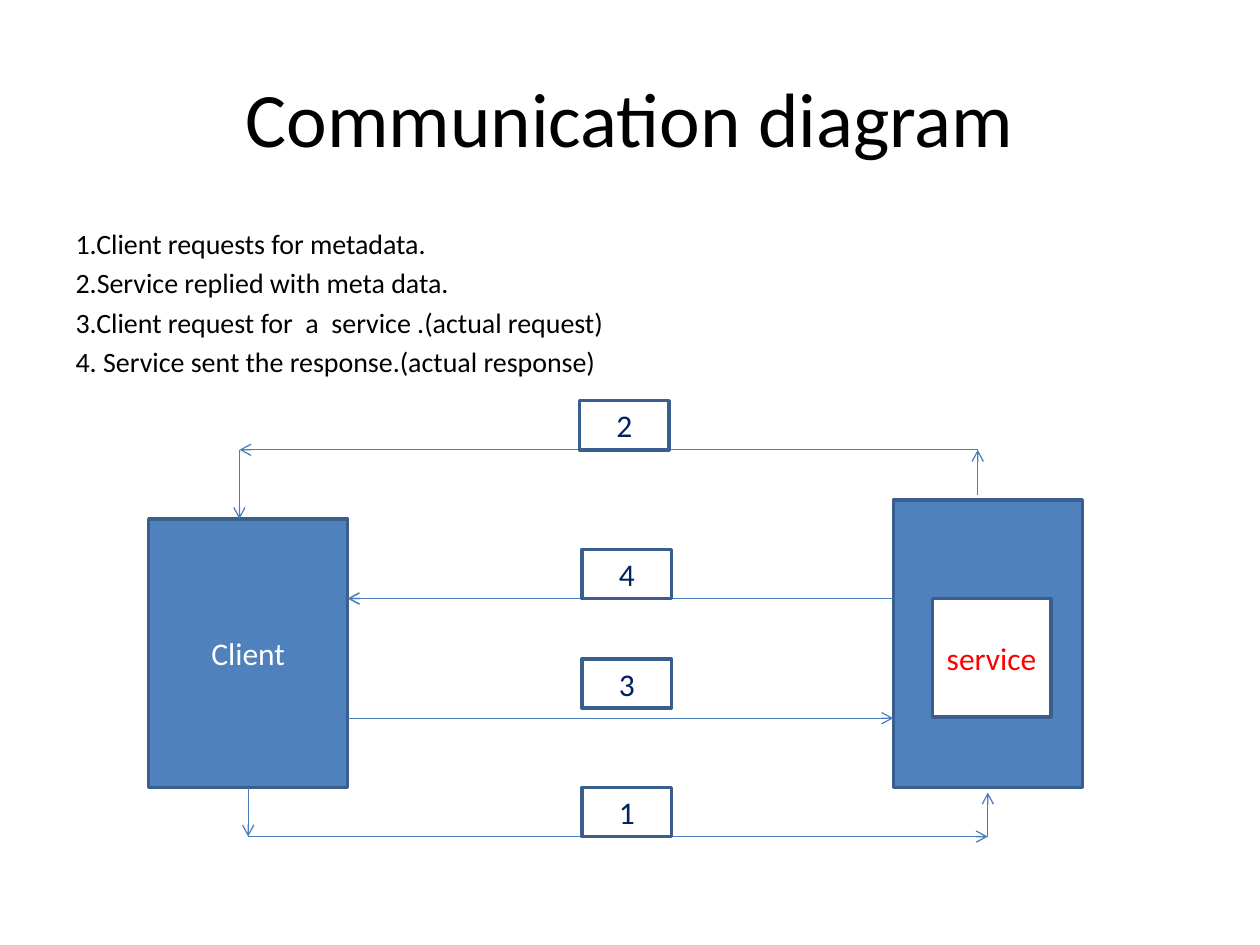
"""Build the client and service communication diagram slide."""
import pptx
import pptx.dml.color
import pptx.enum.shapes
import pptx.enum.text
import pptx.oxml
import pptx.oxml.ns
import pptx.util
from pptx.util import Inches

RGBColor = pptx.dml.color.RGBColor
BLACK = RGBColor(0x00, 0x00, 0x00)
WHITE = RGBColor(0xFF, 0xFF, 0xFF)
BLUE = RGBColor(0x4F, 0x81, 0xBD)
BORDER = RGBColor(0x3A, 0x5F, 0x8C)
ARROW = RGBColor(0x4B, 0x7E, 0xBC)
NAVY = RGBColor(0x00, 0x20, 0x60)
RED = RGBColor(0xFF, 0x00, 0x00)
FONT = "Calibri"

STEPS = (
    "1.Client requests for metadata.",
    "2.Service replied with meta data.",
    "3.Client request for  a  service .(actual request)",
    "4. Service sent the response.(actual response)",
)
CLIENT_RIGHT, SERVICE_LEFT = 2.76, 7.09
REPLY_LEFT, REPLY_RIGHT, REPLY_Y = 1.9, 7.76, 3.57
REQUEST_LEFT, REQUEST_RIGHT, REQUEST_Y = 1.97, 7.84, 6.64
BOX_BOTTOM, RESPONSE_Y, CALL_Y = 6.25, 4.75, 5.7
LABELS = (("1", 4.62, 6.25), ("3", 4.62, 5.23), ("4", 4.62, 4.36), ("2", 4.6, 3.18))


def place(shape, left, top, width, height):
    shape.left, shape.top = Inches(left), Inches(top)
    shape.width, shape.height = Inches(width), Inches(height)


def format_runs(para, size, color):
    for span in para.runs:
        span.font.name = FONT
        span.font.size = pptx.util.Pt(size)
        span.font.color.rgb = color


def fill_title(title):
    place(title, 0.5, 0.3, 9, 1.25)
    title.text_frame.text = "Communication diagram"
    format_runs(title.text_frame.paragraphs[0], 44, BLACK)


def fill_steps(body):
    place(body, 0.5, 1.75, 9, 4.95)
    body.text_frame.text = "\n".join(STEPS)
    for para in body.text_frame.paragraphs:
        properties = para._p.get_or_add_pPr()
        properties.set("marL", "0")
        properties.set("indent", "0")
        properties.append(pptx.oxml.parse_xml(
            f'<a:buNone {pptx.oxml.ns.nsdecls("a")}/>'))
        format_runs(para, 16, BLACK)


def add_box(page, left, top, width, height, fill, text="", color=WHITE):
    box = page.shapes.add_shape(
        pptx.enum.shapes.MSO_SHAPE.RECTANGLE,
        Inches(left), Inches(top), Inches(width), Inches(height))
    box.shadow.inherit = False
    box.fill.solid()
    box.fill.fore_color.rgb = fill
    box.line.color.rgb = BORDER
    box.line.width = pptx.util.Pt(2)
    if text:
        box.text_frame.text = text
        box.text_frame.vertical_anchor = pptx.enum.text.MSO_ANCHOR.MIDDLE
        para = box.text_frame.paragraphs[0]
        para.alignment = pptx.enum.text.PP_ALIGN.CENTER
        format_runs(para, 18, color)
    return box


def add_arrow(page, start_x, start_y, end_x, end_y):
    arrow = page.shapes.add_connector(
        pptx.enum.shapes.MSO_CONNECTOR.STRAIGHT,
        Inches(start_x), Inches(start_y), Inches(end_x), Inches(end_y))
    arrow.line.color.rgb = ARROW
    arrow.line.width = pptx.util.Pt(0.75)
    namespace = pptx.oxml.ns.nsdecls("a")
    properties = arrow.element.spPr
    properties.find(pptx.oxml.ns.qn("a:ln")).append(
        pptx.oxml.parse_xml(f'<a:tailEnd {namespace} type="arrow"/>'))
    properties.append(pptx.oxml.parse_xml(f"<a:effectLst {namespace}/>"))
    return arrow


def main():
    deck = pptx.Presentation()
    deck.slide_width, deck.slide_height = Inches(10), Inches(7.5)
    page = deck.slides.add_slide(deck.slide_layouts[1])
    fill_title(page.shapes.title)
    fill_steps(page.placeholders[1])

    client = add_box(page, 1.18, 4.12, 1.58, 2.13, BLUE, "Client")
    add_box(page, SERVICE_LEFT, 3.97, 1.5, 2.28, BLUE)

    request = add_arrow(page, REQUEST_LEFT, BOX_BOTTOM, REQUEST_LEFT, REQUEST_Y)
    request.begin_connect(client, 2)
    for ends in (
        (REQUEST_LEFT, REQUEST_Y, REQUEST_RIGHT, REQUEST_Y),
        (REQUEST_RIGHT, REQUEST_Y, REQUEST_RIGHT, 6.29),
        (REPLY_RIGHT, 3.93, REPLY_RIGHT, REPLY_Y),
        (REPLY_RIGHT, REPLY_Y, REPLY_LEFT, REPLY_Y),
        (REPLY_LEFT, REPLY_Y, REPLY_LEFT, 4.12),
        (SERVICE_LEFT, RESPONSE_Y, CLIENT_RIGHT, RESPONSE_Y),
        (6.93, RESPONSE_Y, CLIENT_RIGHT, RESPONSE_Y),
        (CLIENT_RIGHT, CALL_Y, SERVICE_LEFT, CALL_Y),
    ):
        add_arrow(page, *ends)

    add_box(page, 7.4, 4.75, 0.94, 0.94, WHITE, "service", RED)
    for number, left, top in LABELS:
        add_box(page, left, top, 0.71, 0.39, WHITE, number, NAVY)
    deck.save("out.pptx")


if __name__ == "__main__":
    main()
